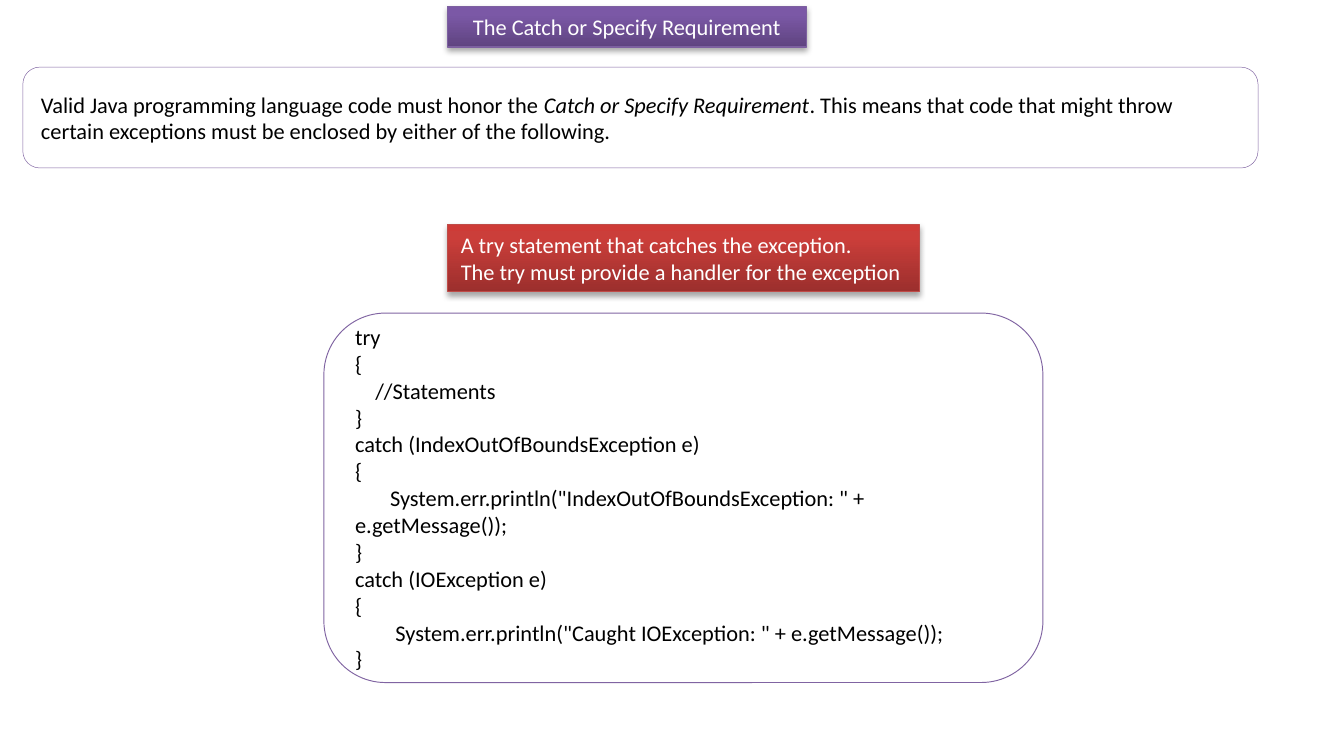
"""Build the slide on Java's Catch or Specify Requirement."""
from copy import deepcopy
from dataclasses import dataclass

from lxml import etree
from pptx import Presentation
from pptx.dml.color import RGBColor
from pptx.enum.shapes import MSO_SHAPE
from pptx.enum.text import MSO_ANCHOR, MSO_AUTO_SIZE, PP_ALIGN
from pptx.oxml.ns import qn
from pptx.util import Inches, Pt

RECT, ROUNDED = MSO_SHAPE.RECTANGLE, MSO_SHAPE.ROUNDED_RECTANGLE
LEFT, CENTER = PP_ALIGN.LEFT, PP_ALIGN.CENTER
TOP, MIDDLE = MSO_ANCHOR.TOP, MSO_ANCHOR.MIDDLE
FIT_SHAPE = MSO_AUTO_SIZE.SHAPE_TO_FIT_TEXT


@dataclass(frozen=True)
class Theme:
    font: str = "Calibri"
    size: float = 12
    dark: str = "000000"
    light: str = "FFFFFF"
    outline: str = "8064A2"
    purple: tuple = ("5F4480", "7B58A6", "7C57A8")
    purple_line: str = "7D60A0"
    red: tuple = ("9C2F2D", "CB3E3A", "CE3B37")
    red_line: str = "BF4C48"
    stops: tuple = (0, 0.8, 1)


@dataclass(frozen=True)
class Run:
    text: str
    italic: bool = False


@dataclass(frozen=True)
class Line:
    runs: tuple
    indent: float = 0


@dataclass(frozen=True)
class Box:
    left: float
    top: float
    width: float
    height: float
    line: str
    line_width: float


THEME = Theme()
TITLE = Box(3.33, 0.05, 2.67, 0.3, THEME.purple_line, 0.75)
RULE = Box(0.17, 0.5, 9.19, 0.75, THEME.outline, 0.25)
CODE = Box(2.41, 2.33, 5.35, 2.75, THEME.outline, 0.5)
OPTION = Box(3.33, 1.67, 3.51, 0.5, THEME.red_line, 0.75)

RULE_LINE = Line((
    Run("Valid Java programming language code must honor the "),
    Run("Catch or Specify Requirement", italic=True),
    Run(". This means that code that might throw certain exceptions "
        "must be enclosed by either of the following."),
))
CODE_LINES = [Line((Run(text),), indent) for text, indent in (
    ("try", 0),
    ("{", 0),
    ("//Statements", 0.15),
    ("}", 0),
    ("catch (IndexOutOfBoundsException e)", 0),
    ("{", 0),
    ('System.err.println("IndexOutOfBoundsException: " + e.getMessage());', 0.26),
    ("}", 0),
    ("catch (IOException e)", 0),
    ("{", 0),
    ('System.err.println("Caught IOException: " + e.getMessage());', 0.3),
    ("}", 0),
)]
OPTION_LINES = [
    Line((Run("A try statement that catches the exception."),)),
    Line((Run("The try must provide a handler for the exception"),)),
]


def add_box(slide, box: Box, shape_type):
    """Add a shape with its outline and no inherited shadow."""
    sp = slide.shapes.add_shape(shape_type, Inches(box.left), Inches(box.top),
                                Inches(box.width), Inches(box.height))
    sp.line.color.rgb = RGBColor.from_string(box.line)
    sp.line.width = Pt(box.line_width)
    sp.shadow.inherit = False
    return sp


def write_text(sp, lines, *, color: str, align=LEFT, anchor=MIDDLE, wrap: bool = True) -> None:
    """Write formatted paragraphs into a shape."""
    tf = sp.text_frame
    tf.word_wrap = wrap
    tf.vertical_anchor = anchor
    for i, line in enumerate(lines):
        p = tf.add_paragraph() if i else tf.paragraphs[0]
        p.alignment = align
        if line.indent:
            p._p.get_or_add_pPr().set("indent", str(Inches(line.indent)))
        for run in line.runs:
            r = p.add_run()
            r.text = run.text
            r.font.name = THEME.font
            r.font.size = Pt(THEME.size)
            r.font.italic = run.italic
            r.font.color.rgb = RGBColor.from_string(color)


def add_panel(slide, box: Box, lines) -> None:
    """Add a white rounded panel with dark text."""
    sp = add_box(slide, box, ROUNDED)
    sp.fill.solid()
    sp.fill.fore_color.rgb = RGBColor.from_string(THEME.light)
    write_text(sp, lines, color=THEME.dark)


def add_shadow(sp) -> None:
    """Give a shape a soft shadow below it."""
    effects = sp._element.spPr.find(qn("a:effectLst"))
    shadow = etree.SubElement(effects, qn("a:outerShdw"), blurRad=str(Pt(3.1)),
                              dist=str(Pt(1.8)), dir="5400000", rotWithShape="0")
    color = etree.SubElement(shadow, qn("a:srgbClr"), val=THEME.dark)
    etree.SubElement(color, qn("a:alpha"), val="35000")


def add_banner(slide, box: Box, lines, colors: tuple, *, align=LEFT, wrap: bool = True) -> None:
    """Add a shadowed gradient banner with light text."""
    sp = add_box(slide, box, RECT)
    sp.fill.gradient()
    sp.fill.gradient_angle = 90
    stop_list = sp._element.spPr.find(".//" + qn("a:gsLst"))
    stop_list.append(deepcopy(stop_list[-1]))
    for stop, color, position in zip(sp.fill.gradient_stops, colors, THEME.stops):
        stop.color.rgb = RGBColor.from_string(color)
        stop.position = position
    add_shadow(sp)
    write_text(sp, lines, color=THEME.light, align=align, anchor=TOP, wrap=wrap)
    sp.text_frame.auto_size = FIT_SHAPE


def main() -> None:
    """Build and save the slide."""
    prs = Presentation()
    prs.slide_width, prs.slide_height = Inches(10), Inches(5.5)
    s = prs.slides.add_slide(prs.slide_layouts[6])
    add_banner(s, TITLE, [Line((Run("The Catch or Specify Requirement"),))],
               THEME.purple, align=CENTER)
    add_panel(s, RULE, [RULE_LINE])
    add_panel(s, CODE, CODE_LINES)
    add_banner(s, OPTION, OPTION_LINES, THEME.red, wrap=False)
    prs.save("out.pptx")


if __name__ == "__main__":
    main()
